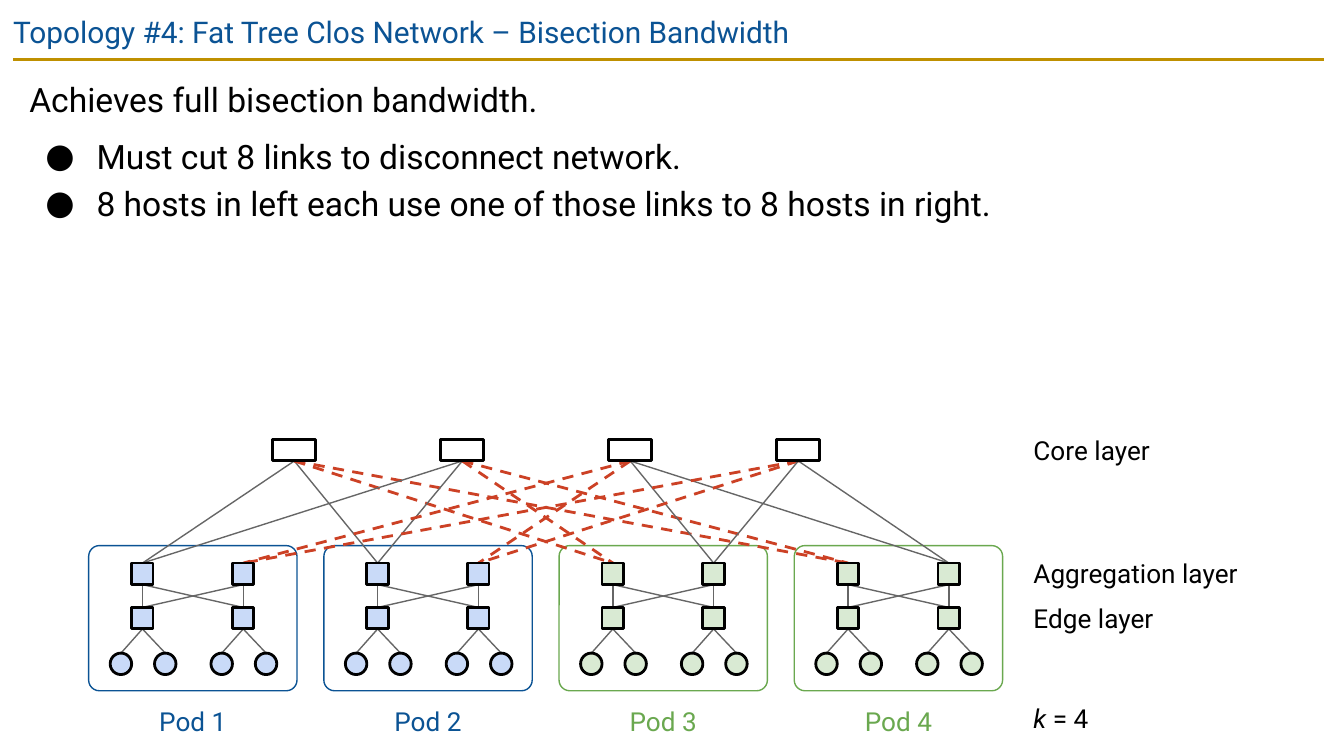
from lxml import etree
from pptx import Presentation
from pptx import util as u
from pptx.dml.color import RGBColor
from pptx.enum import dml, shapes, text
from pptx.oxml.ns import qn

BLUE, GREEN, BLACK, GRAY, RED = "0B5394", "6AA84F", "000000", "666666", "CC4125"
SIZE = 0.16  # side of a switch, diameter of a host
AGG_Y, EDGE_Y, HOST_Y, CORE_Y = 4.19, 4.52, 4.86, 3.27
IN = u.Inches

prs = Presentation()
prs.slide_width = IN(10)
prs.slide_height = prs.slide_width * 9 // 16
s = prs.slides.add_slide(prs.slide_layouts[6])


def rgb(color):
    return RGBColor.from_string(color)


def style_line(line, color, width):
    line.color.rgb = rgb(color)
    line.width = u.Pt(width)


# Title rule
rule = s.shapes.add_connector(shapes.MSO_CONNECTOR.STRAIGHT, IN(0.1), IN(0.44), IN(9.85), IN(0.44))
style_line(rule.line, "BF9000", 1.5)
etree.SubElement(rule._element.spPr, qn("a:effectLst"))

# Pod frames
for i in range(4):
    sp = s.shapes.add_shape(shapes.MSO_SHAPE.ROUNDED_RECTANGLE,
                            IN(0.66 + 1.75 * i), IN(4.06), IN(1.55), IN(1.08))
    sp.adjustments[0] = 0.074
    sp.shadow.inherit = False
    sp.fill.background()
    style_line(sp.line, BLUE if i < 2 else GREEN, 0.75)

# Nodes: (kind, number) -> centre x, top, width, fill, shape
layout = {}
for i in range(8):
    pod, side = divmod(i, 2)
    x = 1.06 + 1.75 * pod + 0.75 * side
    fill = "C9DAF8" if pod < 2 else "D9EAD3"
    for h, dx in enumerate((-0.16, 0.17)):
        layout["host", 2 * i + h] = (x + dx, HOST_Y, SIZE, fill, shapes.MSO_SHAPE.OVAL)
    layout["edge", i] = (x, EDGE_Y, SIZE, fill, shapes.MSO_SHAPE.RECTANGLE)
    layout["agg", i] = (x, AGG_Y, SIZE, fill, shapes.MSO_SHAPE.RECTANGLE)
for c in range(4):
    layout["core", c] = (2.19 + 1.25 * c, CORE_Y, 2 * SIZE, "FFFFFF", shapes.MSO_SHAPE.RECTANGLE)

nodes = {}
for key, (x, y, width, fill, shape) in layout.items():
    sp = s.shapes.add_shape(shape, IN(x - width / 2), IN(y), IN(width), IN(SIZE))
    sp.shadow.inherit = False
    sp.fill.solid()
    sp.fill.fore_color.rgb = rgb(fill)
    style_line(sp.line, BLACK, 1.5)
    nodes[key] = sp

# Links: upper node, lower node, whether the bisection cuts it
links = []
for c in range(4):
    for pod in range(4):
        links.append((("core", c), ("agg", 2 * pod + c // 2), c // 2 != pod // 2))
for i in range(8):
    first = i - i % 2
    links += [(("agg", i), ("edge", first + j), False) for j in range(2)]
    links += [(("edge", i), ("host", 2 * i + j), False) for j in range(2)]

back_node = next(iter(nodes.values()))
for upper, lower, cut in links:
    cn = s.shapes.add_connector(shapes.MSO_CONNECTOR.STRAIGHT, 0, 0, 0, 0)
    cn.begin_connect(nodes[upper], 2)
    cn.end_connect(nodes[lower], 0)
    style_line(cn.line, RED if cut else GRAY, 1.5 if cut else 0.75)
    if cut:
        cn.line.dash_style = dml.MSO_LINE.DASH
    etree.SubElement(cn._element.spPr, qn("a:effectLst"))
    back_node._element.addprevious(cn._element)  # links lie behind the nodes

# Text: left, top, width, height, inset, size, colour, paragraphs
title = ["Topology #4: Fat Tree Clos Network – Bisection Bandwidth"]
body = ["Achieves full bisection bandwidth.",
        "Must cut 8 links to disconnect network.",
        "8 hosts in left each use one of those links to 8 hosts in right."]
boxes = [(0, 0, 10, 0.43, 0.1, 16, BLUE, title),
         (0.12, 0.44, 9.74, 2.37, 0.1, 18, BLACK, body)]
for i in range(4):
    boxes.append((1.15 + 1.75 * i, 5.22, 0.57, 0.3, 0.03, 14,
                  BLUE if i < 2 else GREEN, [f"Pod {i + 1}"]))
for y, width, label in ((3.2, 1, "Core layer"), (4.12, 1.66, "Aggregation layer"),
                        (4.45, 1, "Edge layer"), (5.2, 1, "k = 4")):
    boxes.append((7.66, y, width, 0.3, 0.03, 14, BLACK, [label]))

for left, top, width, height, inset, size, color, paragraphs in boxes:
    tf = s.shapes.add_textbox(IN(left), IN(top), IN(width), IN(height)).text_frame
    formats = {"word_wrap": True, "vertical_anchor": text.MSO_ANCHOR.TOP}
    formats.update({f"margin_{side}": IN(inset) for side in ("left", "top", "right", "bottom")})
    for name, value in formats.items():
        setattr(tf, name, value)
    for n, words in enumerate(paragraphs):
        p = tf.paragraphs[0] if n == 0 else tf.add_paragraph()
        if words.startswith("Pod"):
            p.alignment = text.PP_ALIGN.CENTER
        if paragraphs is body:
            p.line_spacing = 1.15
            p.space_before = u.Pt(6 if n == 1 else 0)
            if n:
                pPr = p._p.get_or_add_pPr()
                pPr.set("marL", str(IN(0.5)))
                pPr.set("indent", str(IN(-0.38)))
                bullet_color = etree.SubElement(pPr, qn("a:buClr"))
                etree.SubElement(bullet_color, qn("a:srgbClr"), val=BLACK)
                etree.SubElement(pPr, qn("a:buFont"), typeface="Roboto")
                etree.SubElement(pPr, qn("a:buChar"), char="●")
        for part in (["k", " = 4"] if words == "k = 4" else [words]):
            r = p.add_run()
            r.text = part
            for name, value in {"name": "Roboto", "size": u.Pt(size), "italic": part == "k"}.items():
                setattr(r.font, name, value)
            r.font.color.rgb = rgb(color)

prs.save("out.pptx")
